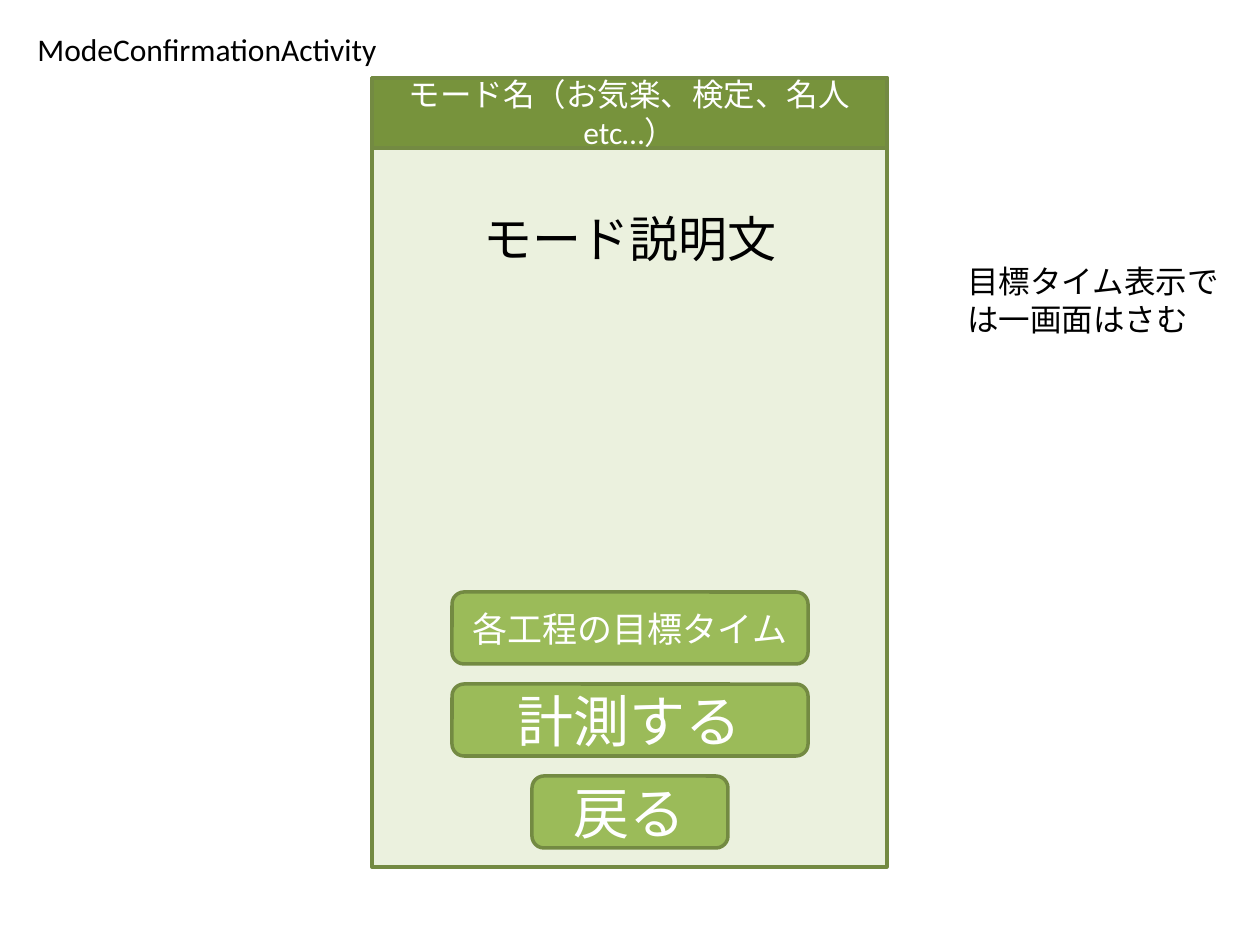
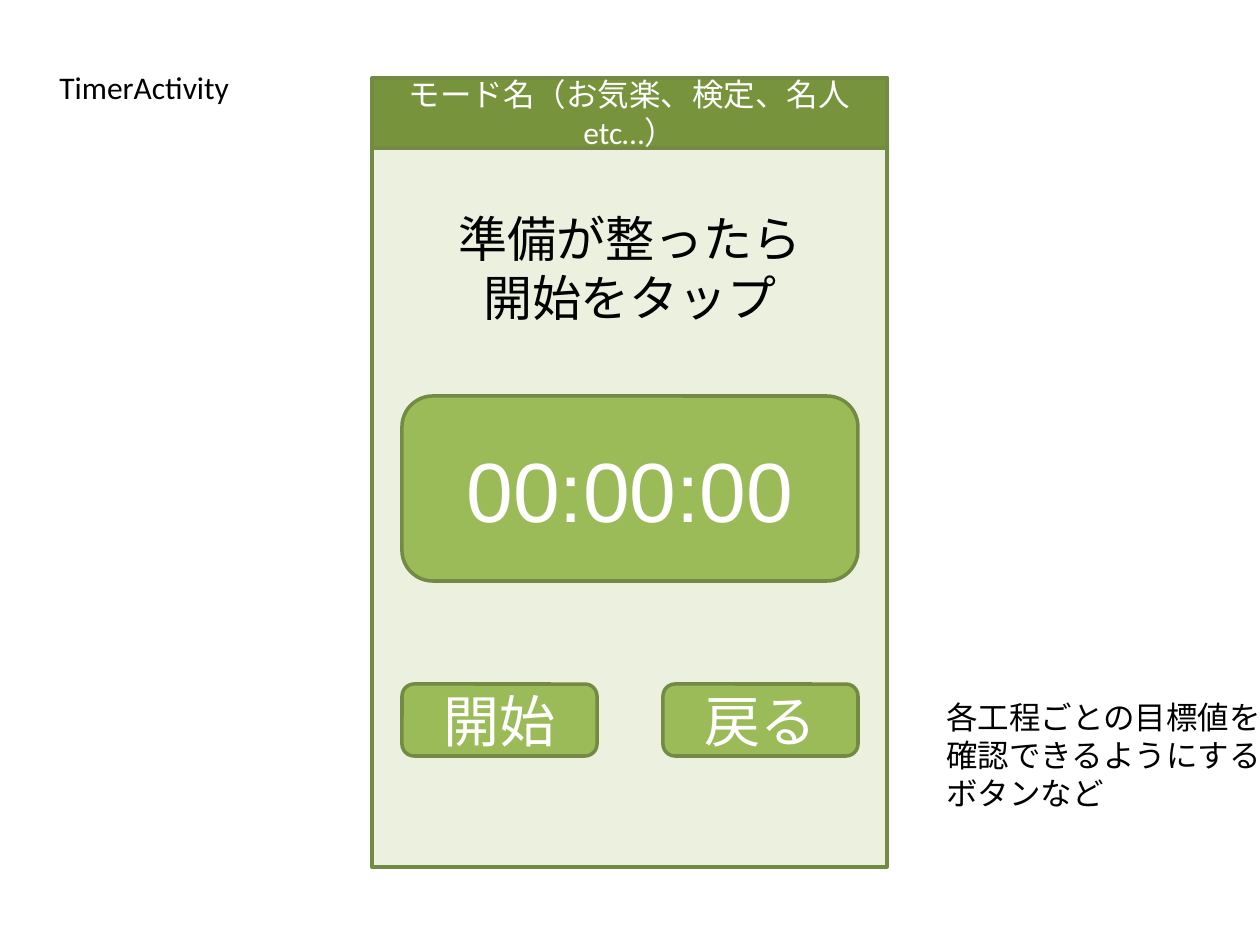
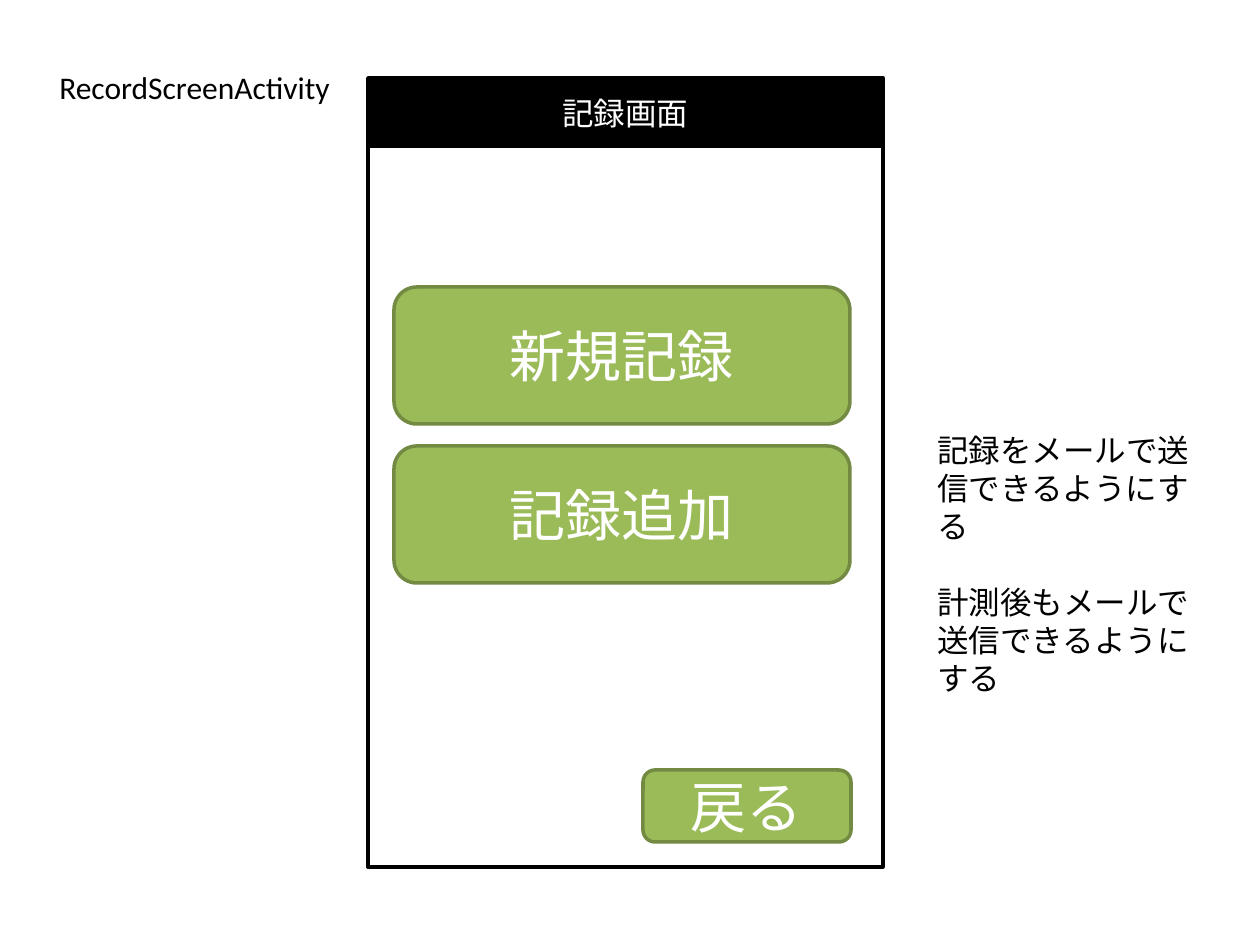
from pptx import Presentation
from pptx.dml.color import RGBColor
from pptx.enum.lang import MSO_LANGUAGE_ID
from pptx.enum.shapes import MSO_SHAPE
from pptx.enum.text import MSO_ANCHOR, PP_ALIGN
from pptx.util import Emu, Pt

# Scale and shared style
EMU_PER_PX = 914400 / 126
WHITE, BLACK = "FFFFFF", "000000"
GREEN_LINE, GREEN_BUTTON = "738A42", "9BBB59"
GREEN_SCREEN, GREEN_BAR = "EBF1DE", "77933C"
MODE_TITLE = "モード名（お気楽、検定、名人etc…）"

# Phone screen layout
SCREEN_TOP, SCREEN_WIDTH, SCREEN_HEIGHT = 78, 515, 789
BAR_HEIGHT = 70
CONTENT_WIDTH = 456
BUTTON_HEIGHT = 72


def px(length):
    return Emu(round(length * EMU_PER_PX))


def color(hex_string):
    return RGBColor.from_string(hex_string)


class Mockup:
    """Holds the presentation, its style and the current slide."""

    def __init__(self):
        self.presentation = Presentation()
        self.presentation.slide_width = px(1260)
        self.presentation.slide_height = px(945)
        self.slide = None

    def new_slide(self):
        layout = self.presentation.slide_layouts[6]
        self.slide = self.presentation.slides.add_slide(layout)

    def fill_text(self, shape, lines, size, font_name, font_color, align,
                  gap=0):
        """Fill a shape with one paragraph per line, gap points apart."""
        frame = shape.text_frame
        frame.word_wrap = True
        font_format = {"size": Pt(size), "name": font_name,
                       "language_id": MSO_LANGUAGE_ID.JAPANESE}
        for index, line in enumerate(lines):
            paragraph = frame.add_paragraph() if index else frame.paragraphs[0]
            paragraph.alignment = align
            if index and gap:
                paragraph.space_before = Pt(gap)
            run = paragraph.add_run()
            run.text = line
            for name, value in font_format.items():
                setattr(run.font, name, value)
            run.font.color.rgb = color(font_color)

    def box(self, kind, left, top, width, height, fill, line=None):
        shape = self.slide.shapes.add_shape(
            kind, px(left), px(top), px(width), px(height))
        shape.shadow.inherit = False
        shape.fill.solid()
        shape.fill.fore_color.rgb = color(fill)
        if line:
            shape.line.color.rgb = color(line)
            shape.line.width = Pt(2)
        else:
            shape.line.fill.background()
        shape.text_frame.vertical_anchor = MSO_ANCHOR.MIDDLE
        return shape

    def screen(self, left, title, fill, bar_fill, line, bar_line=None):
        self.box(MSO_SHAPE.RECTANGLE, left, SCREEN_TOP, SCREEN_WIDTH,
                 SCREEN_HEIGHT, fill, line)
        bar = self.box(MSO_SHAPE.RECTANGLE, left, SCREEN_TOP, SCREEN_WIDTH,
                       BAR_HEIGHT, bar_fill, bar_line)
        self.fill_text(bar, [title], 18, "Calibri", WHITE, PP_ALIGN.CENTER)

    def mode_screen(self):
        self.screen(372, MODE_TITLE, GREEN_SCREEN, GREEN_BAR,
                    GREEN_LINE, GREEN_LINE)

    def button(self, text, left, top, width, height=BUTTON_HEIGHT, size=32):
        shape = self.box(MSO_SHAPE.ROUNDED_RECTANGLE, left, top, width,
                         height, GREEN_BUTTON, GREEN_LINE)
        self.fill_text(shape, [text], size, "Arial", WHITE, PP_ALIGN.CENTER)

    def text(self, lines, left, top, width, height, size=18,
             font_name="Calibri", align=PP_ALIGN.LEFT, gap=0):
        shape = self.slide.shapes.add_textbox(
            px(left), px(top), px(width), px(height))
        self.fill_text(shape, lines, size, font_name, BLACK, align, gap)

    def message(self, *lines):
        self.text(lines, 402, 202, CONTENT_WIDTH, 13 + 59 * len(lines), 28,
                  "Arial", PP_ALIGN.CENTER)


def main():
    mockup = Mockup()

    # Mode confirmation
    mockup.new_slide()
    mockup.mode_screen()
    mockup.message("モード説明文")
    buttons = [("各工程の目標タイム", 356, 20), ("計測する", 356, 32),
               ("戻る", 196, 32)]
    for row, (label, width, size) in enumerate(buttons):
        mockup.button(label, 630 - width // 2, 592 + 92 * row, width,
                      size=size)
    mockup.text(["目標タイム表示では一画面はさむ"], 955, 256, 292, 165)
    mockup.text(["ModeConfirmationActivity"], 25, 24, 447, 50)

    # Timer
    mockup.new_slide()
    mockup.mode_screen()
    mockup.message("準備が整ったら", "開始をタップ")
    mockup.button("00:00:00", 402, 396, CONTENT_WIDTH, 185, 48)
    for column, label in enumerate(["開始", "戻る"]):
        mockup.button(label, 402 + 261 * column, 684, 195)
    mockup.text(["各工程ごとの目標値を確認できるようにする", "ボタンなど"],
                934, 692, 340, 127)
    mockup.text(["TimerActivity"], 47, 62, 234, 50)

    # Record screen
    mockup.new_slide()
    mockup.screen(368, "記録画面", WHITE, BLACK, BLACK)
    for row, label in enumerate(["新規記録", "記録追加"]):
        mockup.button(label, 394, 287 + 159 * row, CONTENT_WIDTH, 137)
    mockup.button("戻る", 643, 770, 208)
    mockup.text(["記録をメールで送信できるようにする",
                 "計測後もメールで送信できるようにする"],
                925, 425, 294, 204, gap=22)
    mockup.text(["RecordScreenActivity"], 47, 62, 305, 50)

    mockup.presentation.save("out.pptx")


if __name__ == "__main__":
    main()
